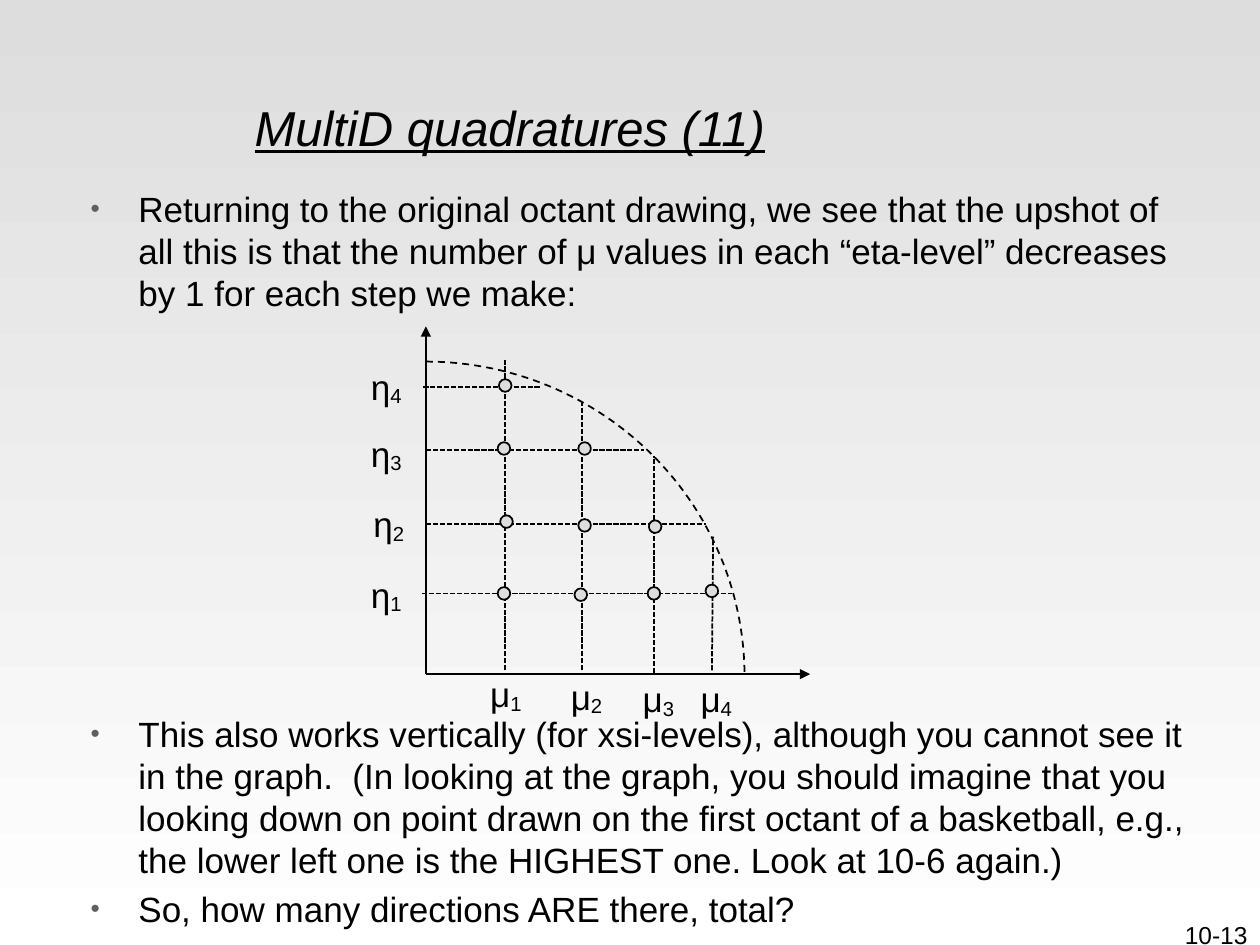
from math import cos, pi, sin

from lxml import etree
from pptx import Presentation
from pptx.dml.color import RGBColor
from pptx.enum.dml import MSO_LINE
from pptx.enum.shapes import MSO_CONNECTOR, MSO_SHAPE
from pptx.enum.text import MSO_ANCHOR, MSO_AUTO_SIZE, PP_ALIGN
from pptx.oxml.ns import qn
from pptx.util import Inches, Pt

STRAIGHT, OVAL = MSO_CONNECTOR.STRAIGHT, MSO_SHAPE.OVAL
DASH, DOTTED = MSO_LINE.DASH, MSO_LINE.SQUARE_DOT
LEFT, CENTER, RIGHT = PP_ALIGN.LEFT, PP_ALIGN.CENTER, PP_ALIGN.RIGHT
BLACK, GREY, BULLET_GREY = "000000", "DDDDDD", "5F5F5F"

TITLE = "MultiD quadratures (11)"
BULLETS = [
    ("Returning to the original octant drawing, we see that the upshot of all this is that "
     "the number of μ values in each “eta-level” decreases by 1 for each step we make:", 0),
    ("This also works vertically (for xsi-levels), although you cannot see it in the graph.  "
     "(In looking at the graph, you should imagine that you looking down on point drawn on "
     "the first octant of a basketball, e.g., the lower left one is the HIGHEST one. "
     "Look at 10-6 again.)", 228),
    ("So, how many directions ARE there, total?", 4),
]
ORIGIN = (3.38, 5.35)
AXIS_ENDS = [(6.43, 5.35), (3.38, 2.59)]
ETA_LINES = [(3.35, 5.81, 4.71), (3.38, 5.6, 4.16), (3.38, 5.11, 3.57), (3.36, 4.29, 3.07)]
MU_LINES = [(4.01, 4.01, 5.32, 2.86), (4.62, 4.62, 5.32, 3.19),
            (5.19, 5.19, 5.34, 3.62), (5.65, 5.66, 5.32, 4.26)]
DOTS = [(3.95, 4.66), (3.97, 4.09), (3.95, 3.51), (3.96, 3.01), (4.56, 4.67),
        (4.59, 4.12), (4.59, 3.51), (5.14, 4.66), (5.15, 4.13), (5.6, 4.64)]
LABELS = {
    "μ": [(3.79, 5.29), (4.43, 5.31), (5, 5.33), (5.46, 5.33)],
    "η": [(2.84, 4.5), (2.86, 3.94), (2.84, 3.38), (2.84, 2.85)],
}


def rgb(value):
    """Turn a hex string into a colour."""
    return RGBColor.from_string(value)


def add_run(p, text, size=20, **formats):
    """Add a black Arial run with optional font formats."""
    r = p.add_run()
    r.text = text
    for name, value in {"name": "Arial", "size": Pt(size), **formats}.items():
        setattr(r.font, name, value)
    r.font.color.rgb = rgb(BLACK)
    return r


def add_text_box(s, x, y, w, h, align=LEFT, wrap=True):
    """Add a text box and return its frame."""
    tf = s.shapes.add_textbox(Inches(x), Inches(y), Inches(w), Inches(h)).text_frame
    tf.word_wrap = wrap
    tf.paragraphs[0].alignment = align
    return tf


def set_line(sp, dash=None):
    """Give a shape or connector a thin black line."""
    sp.line.color.rgb = rgb(BLACK)
    sp.line.width = Pt(1)
    if dash:
        sp.line.dash_style = dash


def add_line(s, x1, y1, x2, y2, dash=None, arrow=False):
    """Draw a straight line, with an arrowhead at its end if asked."""
    sp = s.shapes.add_connector(STRAIGHT, Inches(x1), Inches(y1), Inches(x2), Inches(y2))
    set_line(sp, dash)
    if arrow:
        etree.SubElement(sp.line._get_or_add_ln(), qn("a:tailEnd"), type="triangle")
    etree.SubElement(sp._element.spPr, qn("a:effectLst"))


def add_quarter_arc(s, x, y, rx, ry, steps=60):
    """Draw a dashed quarter ellipse from the top to the right of its centre."""
    angles = [pi / 2 * i / steps for i in range(steps + 1)]
    points = [(Inches(x + rx * sin(a)), Inches(y - ry * cos(a))) for a in angles]
    builder = s.shapes.build_freeform(*points[0])
    builder.add_line_segments(points[1:], close=False)
    sp = builder.convert_to_shape()
    sp.shadow.inherit = False
    sp.fill.background()
    set_line(sp, DASH)


def add_dot(s, x, y, size=0.1):
    """Draw a quadrature point."""
    sp = s.shapes.add_shape(OVAL, Inches(x), Inches(y), Inches(size), Inches(size))
    sp.shadow.inherit = False
    sp.fill.solid()
    sp.fill.fore_color.rgb = rgb(GREY)
    set_line(sp)


def add_label(s, x, y, symbol, index):
    """Write a symbol with a lowered index."""
    tf = add_text_box(s, x, y, 0.45, 0.43, CENTER, wrap=False)
    tf.auto_size = MSO_AUTO_SIZE.SHAPE_TO_FIT_TEXT
    p = tf.paragraphs[0]
    add_run(p, symbol)
    add_run(p, str(index)).font._element.set("baseline", "-10000")


def add_bullet(p, text, before):
    """Write a bulleted paragraph with a hanging indent."""
    p.space_before = Pt(before)
    pPr = p._p.get_or_add_pPr()
    pPr.set("marL", str(Inches(0.38)))
    pPr.set("indent", str(Inches(-0.38)))
    colour = etree.SubElement(pPr, qn("a:buClr"))
    etree.SubElement(colour, qn("a:srgbClr"), val=BULLET_GREY)
    etree.SubElement(pPr, qn("a:buSzPct"), val="75000")
    etree.SubElement(pPr, qn("a:buFont"), typeface="Arial")
    etree.SubElement(pPr, qn("a:buChar"), char="•")
    add_run(p, text)


def set_background(s):
    """Fill the background with a gradient from grey down to white."""
    fill = s.background.fill
    fill.gradient()
    fill.gradient_angle = 270
    for stop, colour in zip(fill.gradient_stops, (GREY, "FFFFFF")):
        stop.color.rgb = rgb(colour)


def set_title(s):
    """Place and format the title."""
    sp = s.shapes.title
    box = {"left": 1.92, "top": 0.38, "width": 7.83, "height": 1.25}
    for name, value in box.items():
        setattr(sp, name, Inches(value))
    tf = sp.text_frame
    tf.vertical_anchor = MSO_ANCHOR.MIDDLE
    p = tf.paragraphs[0]
    p.alignment = LEFT
    add_run(p, TITLE, 28, italic=True, underline=True)


def add_body(s):
    """Write the bullets, leaving room for the graph after the first."""
    tf = add_text_box(s, 0.62, 1.44, 8.98, 6.06)
    for i, (text, before) in enumerate(BULLETS):
        p = tf.add_paragraph() if i else tf.paragraphs[0]
        add_bullet(p, text, before)


def add_graph(s):
    """Draw the octant with its axes, levels, points and labels."""
    for end in AXIS_ENDS:
        add_line(s, *ORIGIN, *end, arrow=True)
    add_quarter_arc(s, 3.38, 5.37, 2.53, 2.5)
    for x1, x2, y in ETA_LINES:
        add_line(s, x1, y, x2, y, DOTTED)
    for x1, x2, y1, y2 in MU_LINES:
        add_line(s, x1, y1, x2, y2, DOTTED)
    for x, y in DOTS:
        add_dot(s, x, y)
    for symbol, places in LABELS.items():
        for index, (x, y) in enumerate(places, 1):
            add_label(s, x, y, symbol, index)


def main():
    """Build the slide and save it."""
    prs = Presentation()
    prs.slide_width, prs.slide_height = Inches(10), Inches(7.5)
    s = prs.slides.add_slide(prs.slide_layouts[5])
    set_background(s)
    set_title(s)
    add_body(s)
    add_graph(s)
    tf = add_text_box(s, 7.92, 7.25, 2.08, 0.5, RIGHT)
    add_run(tf.paragraphs[0], "10-13", 14)
    prs.save("out.pptx")


if __name__ == "__main__":
    main()
